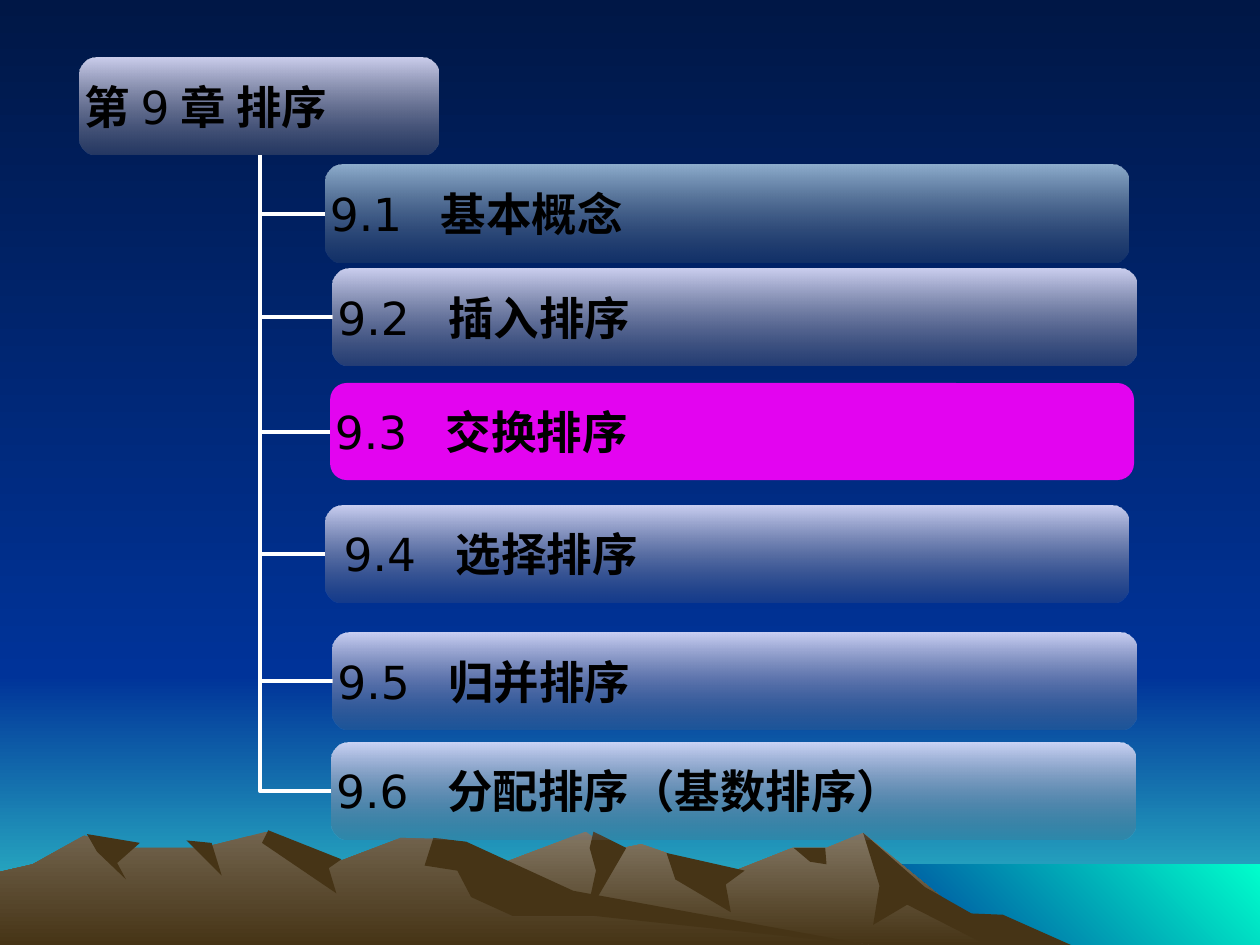
from lxml.etree import SubElement
from pptx import Presentation
from pptx.dml.color import RGBColor
from pptx.enum.shapes import MSO_CONNECTOR as CONN, MSO_SHAPE as SHAPE
from pptx.enum.text import MSO_ANCHOR as ANCHOR
from pptx.oxml.ns import qn
from pptx.util import Inches, Pt

COLORS = {
    "night": "001746", "blue": "003399", "horizon": "33CCCC", "sea": "00FFCC",
    "rock_light": "837763", "rock": "72644E", "rock_dark": "463416",
    "lilac": "E3E3FF", "grey": "686875", "ice": "CCECFF", "slate": "5E6C75",
    "magenta": "FF00FF", "white": "FFFFFF", "black": "000000",
}
LATIN, CJK = "DejaVu Sans", "Noto Sans CJK SC"
BOX_HEIGHT = 0.77

PALE = (("lilac", 90), ("grey", 35))
FADED = (("lilac", 89), ("grey", 19))
ICY = (("ice", 70), ("slate", 19))
CURRENT = (("magenta", 89),)

SECTIONS = [
    ("基本概念", 2.58, 1.31, ICY),
    ("插入排序", 2.64, 2.13, PALE),
    ("交换排序", 2.62, 3.04, CURRENT),
    ("选择排序", 2.58, 4.01, FADED),
    ("归并排序", 2.64, 5.02, FADED),
    ("分配排序（基数排序）", 2.63, 5.89, FADED),
]

SHADE = ("rock_dark",)
RIDGES = [
    (("rock_light", "rock_dark"), [
        (821, 750), (763, 725), (685, 661), (656, 673), (629, 673), (566, 698),
        (536, 691), (529, 677), (509, 670), (485, 675), (465, 660), (394, 687),
        (327, 711), (258, 750)]),
    (SHADE, [
        (850, 750), (796, 726), (771, 725), (734, 704), (685, 661), (698, 703),
        (693, 734), (720, 718), (783, 750)]),
    (SHADE, [(471, 660), (468, 673), (473, 691), (465, 728), (497, 673)]),
    (SHADE, [(529, 677), (536, 698), (580, 724), (576, 702), (591, 691)]),
    (SHADE, [(630, 673), (643, 684), (656, 686), (655, 673)]),
    (("rock", "rock_dark"), [
        (690, 750), (432, 714), (354, 666), (318, 665), (271, 683), (235, 682),
        (212, 660), (160, 673), (94, 673), (67, 663), (26, 686), (0, 692),
        (0, 750)]),
    (SHADE, [(213, 659), (208, 669), (267, 709), (261, 689), (271, 682)]),
    (SHADE, [
        (370, 668), (344, 665), (337, 687), (363, 691), (374, 712), (407, 727),
        (472, 727), (690, 750), (455, 707)]),
    (SHADE, [(148, 667), (168, 669), (176, 695)]),
    (SHADE, [(69, 662), (77, 676), (100, 698), (93, 685), (111, 669)]),
]


def rgb(name):
    """Return the palette colour called name."""
    return RGBColor.from_string(COLORS[name])


def paint(fill, names, angle=270):
    """Fill with one colour, or with a gradient between two."""
    if len(names) == 1:
        fill.solid()
        fill.fore_color.rgb = rgb(names[0])
        return
    fill.gradient()
    fill.gradient_angle = angle
    for position, (stop, name) in enumerate(zip(fill.gradient_stops, names)):
        stop.color.rgb = rgb(name)
        stop.position = position


def finish(sp, names, angle=270):
    """Paint a shape and drop its outline and shadow."""
    sp.shadow.inherit = False
    paint(sp.fill, names, angle)
    sp.line.fill.background()


def add_band(s, left, top, right, bottom, names, angle=270):
    """Add a rectangle of scenery."""
    sp = s.shapes.add_shape(SHAPE.RECTANGLE, Inches(left), Inches(top),
                            Inches(right - left), Inches(bottom - top))
    finish(sp, names, angle)


def add_ridge(s, names, points):
    """Add a mountain outline given in hundredths of an inch."""
    builder = s.shapes.build_freeform(*points[0], scale=Inches(0.01))
    builder.add_line_segments(points[1:], close=True)
    finish(builder.convert_to_shape(), names)


def add_branch(s, right, bottom, left=2.06, top=1.23):
    """Add an elbow line from a section box up to the chapter box."""
    line = s.shapes.add_connector(CONN.ELBOW, Inches(left), Inches(top),
                                  Inches(right), Inches(bottom))
    line.line.color.rgb = rgb("white")
    line.line.width = Pt(2.25)
    sp_pr = line.element.spPr
    sp_pr.find(qn("a:xfrm")).set("rot", "10800000")
    sp_pr.find(qn("a:prstGeom")).set("prst", "bentConnector2")
    SubElement(sp_pr, qn("a:effectLst"))


def add_run(p, text, font=LATIN, bold=False, size=26, color="black"):
    """Append formatted text to a paragraph."""
    r = p.add_run()
    r.text = text
    r.font.size = Pt(size)
    r.font.bold = bold
    r.font.color.rgb = rgb(color)
    r.font.name = font
    SubElement(r.font._element, qn("a:ea")).set("typeface", CJK)


def add_box(s, left, top, width, stops, tab=0.88):
    """Add a translucent rounded box and return its paragraph."""
    sp = s.shapes.add_shape(SHAPE.ROUNDED_RECTANGLE, Inches(left), Inches(top),
                            Inches(width), Inches(BOX_HEIGHT))
    sp.adjustments[0] = 0.17
    finish(sp, [name for name, _ in stops])
    for clr, (_, alpha) in zip(sp.element.spPr.iter(qn("a:srgbClr")), stops):
        SubElement(clr, qn("a:alpha")).set("val", str(alpha * 1000))
    tf = sp.text_frame
    tf.word_wrap = True
    tf.vertical_anchor = ANCHOR.MIDDLE
    tf.margin_left = tf.margin_right = tf.margin_top = tf.margin_bottom = 0
    p = tf.paragraphs[0]
    p_pr = p._p.get_or_add_pPr()
    p_pr.set("algn", "l")
    tabs = SubElement(p_pr, qn("a:tabLst"))
    SubElement(tabs, qn("a:tab"), pos=str(Inches(tab)), algn="l")
    return p


def add_scenery(s):
    """Draw the sky, the sea and the mountains."""
    paint(s.background.fill, ("night", "blue"))
    add_band(s, 0, 5.36, 10, 7.5, ("blue", "horizon"))
    add_band(s, 0, 0, 10, 5.36, ("night", "blue"))
    add_band(s, 6.83, 6.86, 10, 7.5, ("sea", "blue"), angle=225)
    for names, points in RIDGES:
        add_ridge(s, names, points)


def main():
    """Build the chapter outline slide."""
    prs = Presentation()
    prs.slide_width, prs.slide_height = Inches(10), Inches(7.5)
    s = prs.slides.add_slide(prs.slide_layouts[6])
    add_scenery(s)
    for _, left, top, _ in SECTIONS:
        add_branch(s, left, top + BOX_HEIGHT / 2)
    p = add_box(s, 0.63, 0.46, 2.85, PALE)
    add_run(p, "第", font=CJK, bold=True)
    add_run(p, "9")
    add_run(p, "章 排序", font=CJK, bold=True)
    for number, (title, left, top, stops) in enumerate(SECTIONS, 1):
        p = add_box(s, left, top, 6.38, stops)
        if number == 4:
            p._p.get_or_add_pPr().set("indent", str(Inches(0.11)))
        add_run(p, f"9.{number}\t")
        add_run(p, title, font=CJK, bold=True)
    prs.save("out.pptx")


if __name__ == "__main__":
    main()
